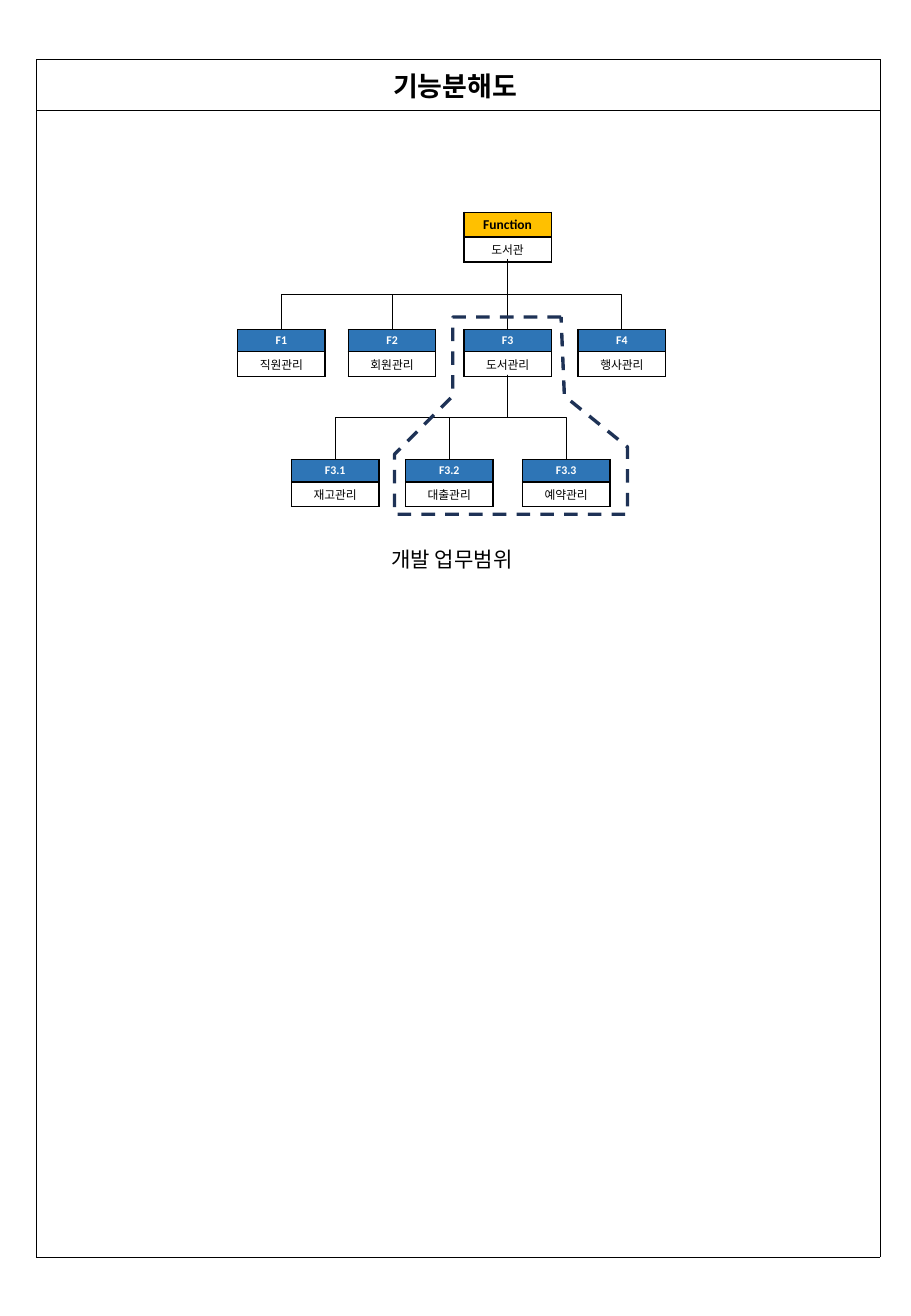
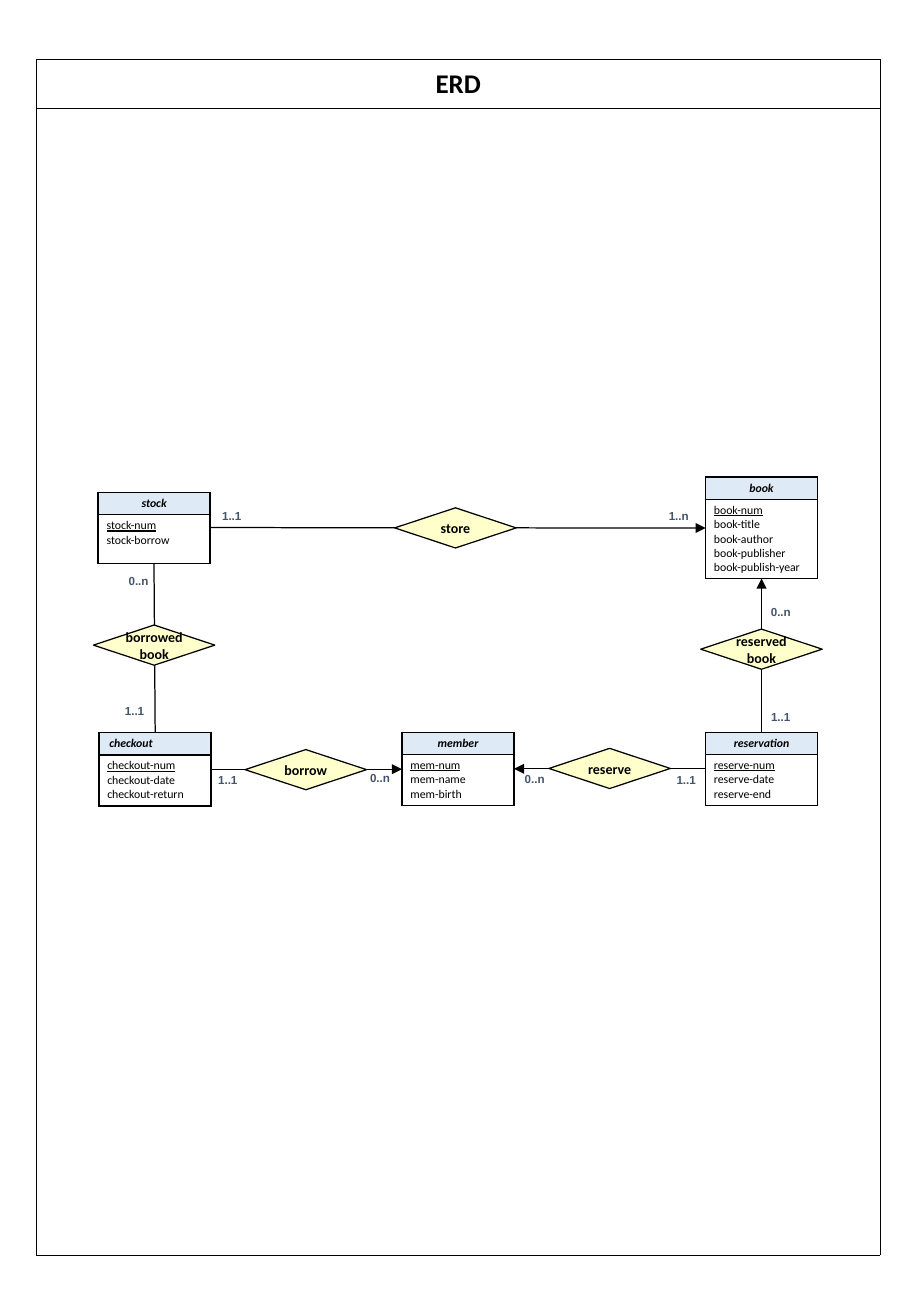
from dataclasses import dataclass

from lxml.etree import SubElement
from pptx import Presentation
from pptx.dml.color import RGBColor
from pptx.enum.dml import MSO_LINE
from pptx.enum.shapes import MSO_CONNECTOR, MSO_SHAPE
from pptx.enum.text import MSO_ANCHOR, MSO_AUTO_SIZE, PP_ALIGN
from pptx.oxml.ns import qn
from pptx.util import Pt


@dataclass(frozen=True)
class Theme:
    black: str = "000000"
    white: str = "FFFFFF"
    root: str = "FFC000"
    function: str = "2E75B6"
    scope: str = "1E3256"
    entity: str = "DEEBF7"
    relationship: str = "FFFFCC"
    cardinality: str = "44546A"
    font: str = "Calibri"
    label_font: str = "Arial"
    title_size: float = 16
    caption_size: float = 12.5
    diamond_size: float = 8.3
    root_size: float = 8
    cell_size: float = 7
    label_size: float = 6.9


THEME = Theme()
SLIDE_SIZE = (540, 780)
BLANK_LAYOUT = 6
FRAME_LEFT, FRAME_TOP, FRAME_WIDTH = 21.6, 35.3, 500
FRAME_HEIGHTS = (29, 679.4)
CELL_MARGINS = (5, 2.3)

# Function tree: code, name, left edge
FUNCTION_TITLE = "기능분해도 "
FUNCTION_CAPTION = "개발 업무범위"
ROOT = ("Function", "도서관", 275)
MAIN_FUNCTIONS = [("F1", "직원관리", 140.9), ("F2", "회원관리", 206.5),
                  ("F3", "도서관리", 275), ("F4", "행사관리", 342.7)]
BOOK_FUNCTIONS = [("F3.1", "재고관리", 172.8), ("F3.2", "대출관리", 240.4),
                  ("F3.3", "예약관리", 309.7)]
BOX_WIDTH, ROW_HEIGHT, ROOT_HEADER = 51.8, 13.2, 14.7
ROOT_TOP, MAIN_TOP, BOOK_TOP = 125.9, 195.3, 272.4
ROOT_BOTTOM, MAIN_BOTTOM = 153.5, 222
SCOPE_OUTLINE = [(332.6, 187.9), (268.4, 187.9), (268.4, 234.7), (233.9, 269.3),
                 (233.9, 304.8), (372, 304.8), (372, 265), (334.6, 234.7)]

# Entities: name, key and attributes, left, top, body height, name alignment
ERD_TITLE = "ERD"
ENTITY_WIDTH = 66.4
LEFT_COLUMN, MIDDLE_COLUMN, RIGHT_COLUMN = 58.2, 238.3, 418.2
ENTITIES = [
    ("checkout", ["checkout-num", "checkout-date", "checkout-return"],
     LEFT_COLUMN + 0.4, 434.3, 30.2, PP_ALIGN.LEFT),
    ("member", ["mem-num", "mem-name", "mem-birth"],
     MIDDLE_COLUMN, 434, 30.2, PP_ALIGN.CENTER),
    ("stock", ["stock-num", "stock-borrow"],
     LEFT_COLUMN, 291.9, 28.8, PP_ALIGN.CENTER),
    ("reservation", ["reserve-num", "reserve-date", "reserve-end"],
     RIGHT_COLUMN, 434, 30.2, PP_ALIGN.CENTER),
    ("book", ["book-num", "book-title", "book-author", "book-publisher", "book-publish-year"],
     RIGHT_COLUMN, 282.8, 47, PP_ALIGN.CENTER),
]
# Relationships: text lines, diamond centre, line start, line end, arrow at the end
RELATIONSHIPS = [
    (["borrowed", "book"], (91.4, 382.4), (91.3, 334), (92, 434), False),
    (["store"], (270, 312.9), (124.5, 312.7), (418.3, 313), True),
    (["borrow"], (181.3, 456.2), (125, 455.9), (238.3, 455.9), True),
    (["reserve"], (361.4, 455.5), (418.3, 455.7), (304.7, 455.7), True),
    (["reserved", "book"], (451.4, 384.8), (451.4, 434), (451.4, 342.9), True),
]
DIAMOND_WIDTH, DIAMOND_HEIGHT = 72, 23.8
CARDINALITIES = [
    ("1..1", 122.3, 454.3), ("1..1", 394, 454.3), ("0..n", 212.3, 453.5),
    ("0..n", 304, 454), ("1..1", 450, 417.5), ("0..n", 69.2, 336.7),
    ("1..1", 67, 413.6), ("1..1", 124.6, 298.1), ("1..n", 389.4, 298.1),
    ("0..n", 449.9, 355),
]


def points(*values):
    return [Pt(value) for value in values]


def rgb(color):
    return RGBColor.from_string(color)


def write(frame, lines, size, color=THEME.black, font=THEME.font, align=PP_ALIGN.LEFT,
          bold=False, italic=False, underline_first=False):
    for index, line in enumerate(lines):
        paragraph = frame.add_paragraph() if index else frame.paragraphs[0]
        paragraph.alignment = align
        run = paragraph.add_run()
        run.text = line
        run.font.name, run.font.size = font, Pt(size)
        run.font.bold, run.font.italic = bold, italic
        run.font.color.rgb = rgb(color)
        if underline_first and index == 0:
            run.font.underline = True


def add_border(cell, width):
    properties = cell._tc.get_or_add_tcPr()
    for side in ("a:lnL", "a:lnR", "a:lnT", "a:lnB"):
        line = SubElement(properties, qn(side), w=str(Pt(width)))
        fill = SubElement(line, qn("a:solidFill"))
        SubElement(fill, qn("a:srgbClr"), val=THEME.black)


def add_stack(slide, left, top, width, heights, header_fill, border):
    """Add a table of one column and two rows and return its cells."""
    table = slide.shapes.add_table(
        len(heights), 1, *points(left, top, width, sum(heights))).table
    table.first_row = table.horz_banding = False
    for row, height, fill in zip(table.rows, heights, (header_fill, THEME.white)):
        row.height = Pt(height)
        cell = row.cells[0]
        add_border(cell, border)
        cell.fill.solid()
        cell.fill.fore_color.rgb = rgb(fill)
    return [row.cells[0] for row in table.rows]


def add_box(slide, left, top, width, heights, header_fill):
    cells = add_stack(slide, left, top, width, heights, header_fill, 1)
    for cell in cells:
        cell.margin_left = cell.margin_right = Pt(CELL_MARGINS[0])
        cell.margin_top = cell.margin_bottom = Pt(CELL_MARGINS[1])
    return cells


def add_framed_slide(presentation, title):
    slide = presentation.slides.add_slide(presentation.slide_layouts[BLANK_LAYOUT])
    header, _ = add_stack(slide, FRAME_LEFT, FRAME_TOP, FRAME_WIDTH, FRAME_HEIGHTS,
                          THEME.white, 0.25)
    header.vertical_anchor = MSO_ANCHOR.MIDDLE
    write(header.text_frame, [title], THEME.title_size, align=PP_ALIGN.CENTER, bold=True)
    return slide


def add_line(slide, kind, start, end, width, arrow=False):
    connector = slide.shapes.add_connector(kind, *points(*start, *end))
    connector.line.color.rgb = rgb(THEME.black)
    connector.line.width = Pt(width)
    if arrow:
        SubElement(connector.line._get_or_add_ln(), qn("a:tailEnd"), type="triangle")
    SubElement(connector._element.spPr, qn("a:effectLst"))
    return connector


def add_branch(slide, parent_x, parent_y, child_x, child_y):
    """Add an elbow that leaves downwards: a sideways elbow turned by 90 degrees."""
    middle_x, middle_y = (parent_x + child_x) / 2, (parent_y + child_y) / 2
    half_run, half_drop = (child_x - parent_x) / 2, (child_y - parent_y) / 2
    branch = add_line(slide, MSO_CONNECTOR.ELBOW,
                      (middle_x - half_drop, middle_y + half_run),
                      (middle_x + half_drop, middle_y - half_run), 0.5)
    branch.rotation = 90


def add_label(slide, text, left, top, width, height, size, **style):
    box = slide.shapes.add_textbox(*points(left, top, width, height))
    box.text_frame.word_wrap = False
    box.text_frame.auto_size = MSO_AUTO_SIZE.SHAPE_TO_FIT_TEXT
    write(box.text_frame, [text], size, **style)


def add_function(slide, function, top, header_height, fill, size, color):
    code, name, left = function
    header, body = add_box(slide, left, top, BOX_WIDTH, (header_height, ROW_HEIGHT), fill)
    write(header.text_frame, [code], size, color, align=PP_ALIGN.CENTER, bold=True)
    write(body.text_frame, [name], THEME.cell_size, align=PP_ALIGN.CENTER)


def add_scope(slide):
    outline = [points(*point) for point in SCOPE_OUTLINE]
    builder = slide.shapes.build_freeform(*outline[0])
    builder.add_line_segments(outline[1:], close=True)
    shape = builder.convert_to_shape()
    shape.shadow.inherit = False
    shape.fill.background()
    shape.line.color.rgb = rgb(THEME.scope)
    shape.line.width = Pt(2)
    shape.line.dash_style = MSO_LINE.DASH


def build_function_slide(presentation):
    slide = add_framed_slide(presentation, FUNCTION_TITLE)
    add_function(slide, ROOT, ROOT_TOP, ROOT_HEADER, THEME.root, THEME.root_size, THEME.black)
    levels = [(MAIN_FUNCTIONS, MAIN_TOP, ROOT_BOTTOM), (BOOK_FUNCTIONS, BOOK_TOP, MAIN_BOTTOM)]
    for functions, top, _ in levels:
        for function in functions:
            add_function(slide, function, top, ROW_HEIGHT, THEME.function,
                         THEME.cell_size, THEME.white)
    parent_x = ROOT[2] + BOX_WIDTH / 2
    for functions, top, parent_bottom in levels:
        for _, _, left in functions:
            add_branch(slide, parent_x, parent_bottom, left + BOX_WIDTH / 2, top)
    add_label(slide, FUNCTION_CAPTION, 225, 320.4, 95, 22.3, THEME.caption_size)
    add_scope(slide)


def add_entity(slide, name, attributes, left, top, body_height, align):
    header, body = add_box(slide, left, top, ENTITY_WIDTH, (ROW_HEIGHT, body_height),
                           THEME.entity)
    if align == PP_ALIGN.LEFT:
        header.margin_left = Pt(6.2)
    write(header.text_frame, [name], THEME.cell_size, align=align, bold=True, italic=True)
    write(body.text_frame, attributes, THEME.cell_size, underline_first=True)


def add_diamond(slide, lines, center):
    shape = slide.shapes.add_shape(
        MSO_SHAPE.FLOWCHART_DECISION,
        *points(center[0] - DIAMOND_WIDTH / 2, center[1] - DIAMOND_HEIGHT / 2,
                DIAMOND_WIDTH, DIAMOND_HEIGHT))
    shape.shadow.inherit = False
    shape.fill.solid()
    shape.fill.fore_color.rgb = rgb(THEME.relationship)
    shape.line.color.rgb = rgb(THEME.black)
    shape.line.width = Pt(0.75)
    frame = shape.text_frame
    frame.word_wrap = False
    frame.vertical_anchor = MSO_ANCHOR.MIDDLE
    write(frame, lines, THEME.diamond_size, align=PP_ALIGN.CENTER, bold=True)


def build_erd_slide(presentation):
    slide = add_framed_slide(presentation, ERD_TITLE)
    for entity in ENTITIES:
        add_entity(slide, *entity)
    for lines, center, start, end, arrow in RELATIONSHIPS:
        add_line(slide, MSO_CONNECTOR.STRAIGHT, start, end, 0.75, arrow)
        add_diamond(slide, lines, center)
    for text, left, top in CARDINALITIES:
        add_label(slide, text, left, top, 26.3, 15.8, THEME.label_size,
                  color=THEME.cardinality, font=THEME.label_font, bold=True)


def main():
    presentation = Presentation()
    presentation.slide_width, presentation.slide_height = points(*SLIDE_SIZE)
    build_function_slide(presentation)
    build_erd_slide(presentation)
    presentation.save("out.pptx")


if __name__ == "__main__":
    main()
